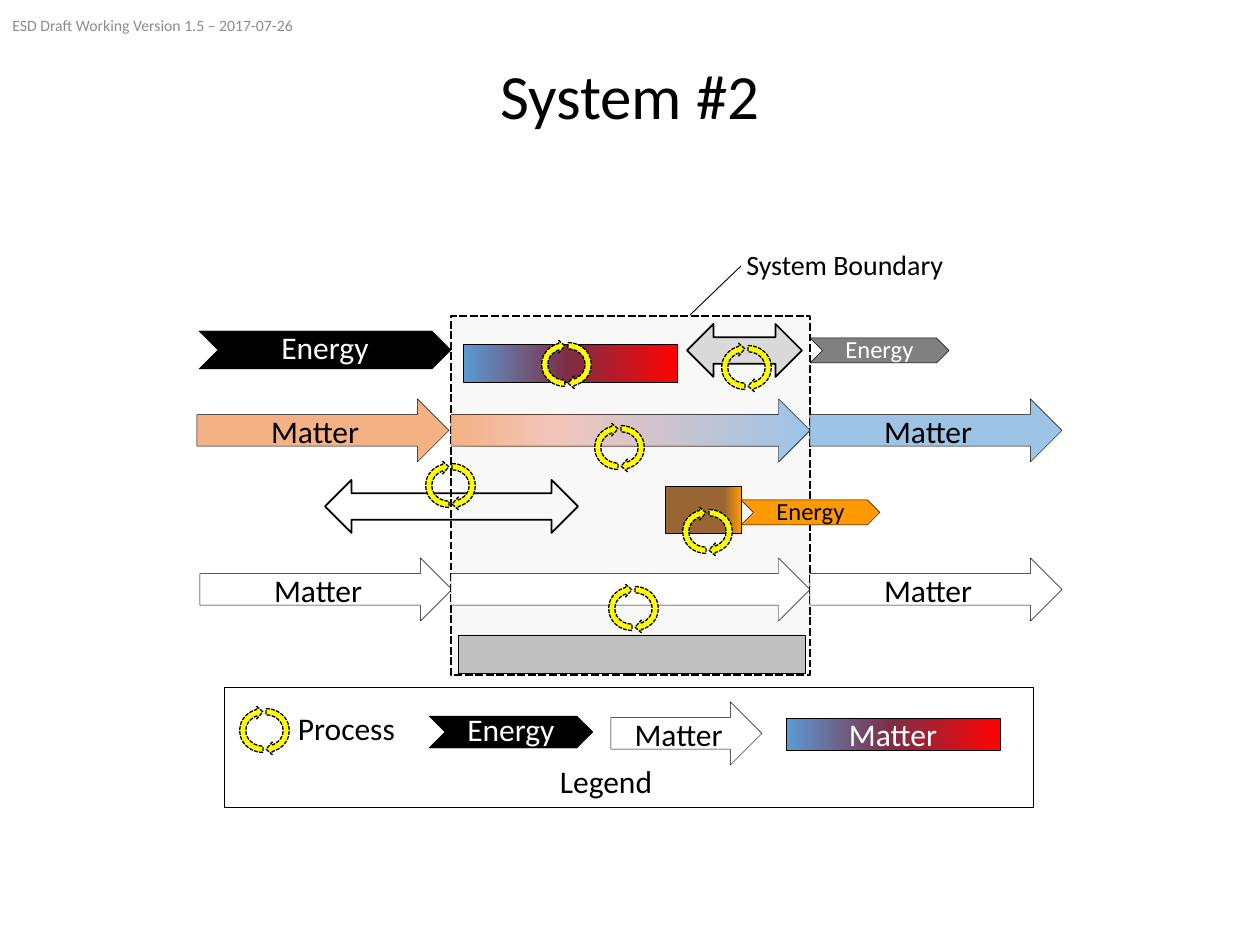
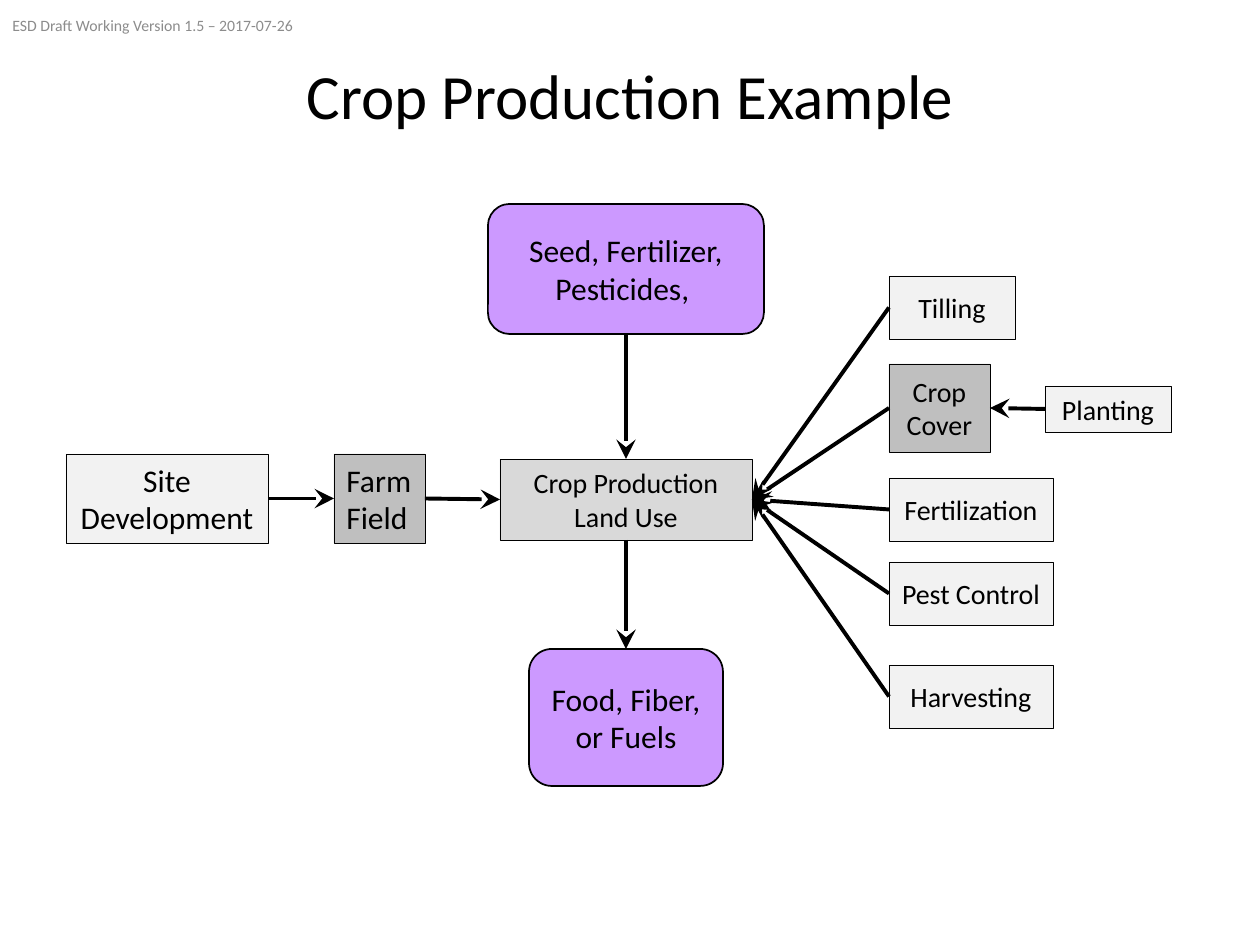
from dataclasses import dataclass
from typing import NamedTuple

from lxml.etree import SubElement
from pptx import Presentation
from pptx.dml.color import RGBColor
from pptx.enum.dml import MSO_LINE
from pptx.enum.shapes import MSO_CONNECTOR, MSO_SHAPE
from pptx.enum.text import MSO_ANCHOR, PP_ALIGN
from pptx.oxml.ns import qn
from pptx.util import Emu, Pt

PX_PER_INCH = 126
TOP, LEFT, BOTTOM, RIGHT = range(4)  # connection sites of a box


@dataclass(frozen=True)
class Theme:
    font: str = "Calibri"
    black: str = "000000"
    white: str = "FFFFFF"
    header_grey: str = "8C8C8C"
    pale: str = "F2F2F2"
    light: str = "D9D9D9"
    mid: str = "BFBFBF"
    dark: str = "808080"
    yellow: str = "FFFF00"
    peach: str = "F4B183"
    sky: str = "9DC3E6"
    orange: str = "FF9900"
    purple: str = "CC99FF"
    cooling: tuple = ((0, "F4B183"), (29, "F2C5BB"), (100, "9DC3E6"))
    heating: tuple = ((0, "5B9BD5"), (49, "7D2D46"), (100, "FF0303"))
    releasing: tuple = ((0, "996633"), (78, "996633"), (100, "FF9900"))
    title: int = 36
    large: int = 18
    medium: int = 16
    small: int = 14
    tiny: int = 9
    hairline: float = 0.25
    outline: float = 1
    arrow: float = 2.25


THEME = Theme()


class Box(NamedTuple):
    left: int
    top: int
    width: int
    height: int

    def inner(self, left, top, width, height):
        return Box(self.left + left, self.top + top, width, height)


def emu(px):
    return Emu(round(px * 914400 / PX_PER_INCH))


def rgb(colour):
    return RGBColor.from_string(colour)


# Basic parts

def write(holder, text, size, colour=THEME.black, align=PP_ALIGN.CENTER,
          anchor=MSO_ANCHOR.MIDDLE, wraps=True, spacing=None, tight=False):
    frame = holder.text_frame
    frame.text = text
    frame.word_wrap = wraps
    frame.vertical_anchor = anchor
    if tight:
        frame.margin_left = frame.margin_right = 0
        frame.margin_top = frame.margin_bottom = 0
    for paragraph in frame.paragraphs:
        paragraph.alignment = align
        paragraph.line_spacing = spacing
        for run in paragraph.runs:
            run.font.name = THEME.font
            run.font.size = Pt(size)
            run.font.color.rgb = rgb(colour)


def add_label(slide, box, text, size, **style):
    label = slide.shapes.add_textbox(*map(emu, box))
    write(label, text, size, **style)


def fill_gradient(shape, stops):
    shape.fill.gradient()
    shape.fill.gradient_angle = 0
    stop_list = next(shape.element.iter(qn("a:gsLst")))
    stop_list.clear()
    for percent, colour in stops:
        stop = SubElement(stop_list, qn("a:gs"), pos=str(percent * 1000))
        SubElement(stop, qn("a:srgbClr"), val=colour)


def add_figure(slide, kind, box, fill=None, weight=THEME.hairline):
    """Fill is a colour, a tuple of gradient stops, or None for no fill."""
    figure = slide.shapes.add_shape(kind, *map(emu, box))
    figure.shadow.inherit = False
    if fill is None:
        figure.fill.background()
    elif isinstance(fill, tuple):
        fill_gradient(figure, fill)
    else:
        figure.fill.solid()
        figure.fill.fore_color.rgb = rgb(fill)
    figure.line.color.rgb = rgb(THEME.black)
    figure.line.width = Pt(weight)
    return figure


def add_line(slide, start, end, weight):
    line = slide.shapes.add_connector(
        MSO_CONNECTOR.STRAIGHT, *map(emu, (*start, *end)))
    line.line.color.rgb = rgb(THEME.black)
    line.line.width = Pt(weight)
    SubElement(line.element.spPr, qn("a:effectLst"))
    return line


# Parts of the system diagram

def add_energy(slide, box, fill, colour, size=THEME.large):
    energy = add_figure(slide, MSO_SHAPE.CHEVRON, box, fill)
    small = size == THEME.small
    write(energy, "Energy", size, colour, wraps=not small, tight=small,
          spacing=Pt(15 if small else 18))


def add_matter(slide, box, fill):
    matter = add_figure(slide, MSO_SHAPE.RIGHT_ARROW, box, fill)
    write(matter, "Matter", THEME.large)


def add_process(slide, area, left, top):
    for shift, rotation in ((0, 270), (3, 90)):
        half = add_figure(slide, MSO_SHAPE.CIRCULAR_ARROW,
                          area.inner(left + shift, top, 50, 53),
                          THEME.yellow, 0.75)
        half.rotation = rotation
        half.line.dash_style = MSO_LINE.SQUARE_DOT


def draw_system(slide, area):
    # Boundary and its label
    boundary = add_figure(slide, MSO_SHAPE.RECTANGLE,
                          area.inner(254, 76, 359, 359), THEME.pale, 1.5)
    boundary.line.dash_style = MSO_LINE.SQUARE_DOT
    boundary_colour = next(boundary.element.spPr.iter(qn("a:srgbClr")))
    SubElement(boundary_colour, qn("a:alpha"), val="50000")
    add_label(slide, area.inner(537, 1, 226, 46), "System Boundary",
              THEME.medium, align=PP_ALIGN.LEFT, anchor=MSO_ANCHOR.TOP,
              wraps=False)
    pointer = area.inner(544, 26, 0, 0), area.inner(493, 75, 0, 0)
    add_line(slide, pointer[0][:2], pointer[1][:2], 0.5)

    # Matter flows: in, through, out
    for start, top, entering, passing, leaving in (
            (0, 159, THEME.peach, THEME.cooling, THEME.sky),
            (3, 318, None, THEME.white, THEME.white)):
        add_matter(slide, area.inner(start, top, 252, 63), entering)
        add_figure(slide, MSO_SHAPE.RIGHT_ARROW,
                   area.inner(254, top, 359, 63), passing)
        add_matter(slide, area.inner(613, top, 252, 63), leaving)

    # Stored matter
    for place, fill in (((266, 104, 214, 38), THEME.heating),
                        ((468, 246, 76, 47), THEME.releasing),
                        ((261, 395, 347, 38), THEME.mid)):
        add_figure(slide, MSO_SHAPE.RECTANGLE, area.inner(*place), fill)

    # Two-way exchanges
    for place, fill in (((128, 240, 253, 53), None),
                        ((490, 84, 115, 53), THEME.light)):
        add_figure(slide, MSO_SHAPE.LEFT_RIGHT_ARROW, area.inner(*place),
                   fill, THEME.outline)

    # Processes
    for left, top in ((343, 98), (523, 101), (396, 181),
                      (227, 219), (484, 265), (410, 342)):
        add_process(slide, area, left, top)

    # Energy flows
    add_energy(slide, area.inner(2, 91, 252, 38), THEME.black, THEME.white)
    add_energy(slide, area.inner(613, 98, 139, 25), THEME.dark, THEME.white,
               THEME.small)
    add_energy(slide, area.inner(544, 260, 139, 25), THEME.orange,
               THEME.black, THEME.small)


def draw_legend(slide, area):
    add_figure(slide, MSO_SHAPE.RECTANGLE, area)
    add_process(slide, area, 14, 17)
    for text, place in (("Process", (61, 16, 123, 50)),
                        ("Legend", (323, 69, 118, 50))):
        add_label(slide, area.inner(*place), text, THEME.large,
                  anchor=MSO_ANCHOR.TOP, wraps=False)
    add_energy(slide, area.inner(205, 29, 164, 32), THEME.black, THEME.white)
    add_matter(slide, area.inner(387, 15, 151, 63), THEME.white)
    stored = add_figure(slide, MSO_SHAPE.RECTANGLE,
                        area.inner(562, 31, 214, 32), THEME.heating)
    write(stored, "Matter", THEME.large, THEME.white)


# Parts of the crop flow

def add_step(slide, box, text, fill=THEME.pale, size=THEME.medium,
             wraps=False, align=PP_ALIGN.CENTER):
    step = add_figure(slide, MSO_SHAPE.RECTANGLE, box, fill)
    write(step, text, size, wraps=wraps, align=align)
    return step


def add_goods(slide, box, text):
    goods = add_figure(slide, MSO_SHAPE.ROUNDED_RECTANGLE, box,
                       THEME.purple, THEME.outline)
    write(goods, text, THEME.large)
    return goods


def connect(slide, source, source_site, target, target_site):
    arrow = add_line(slide, (0, 0), (0, 0), THEME.arrow)
    arrow.begin_connect(source, source_site)
    arrow.end_connect(target, target_site)
    SubElement(arrow.element.spPr.find(qn("a:ln")), qn("a:tailEnd"),
               type="stealth", w="lg", len="lg")


def draw_crop_flow(slide, area):
    # Land preparation, left to right
    land_use = add_step(slide, area.inner(434, 255, 252, 81),
                        "Crop Production\nLand Use", THEME.light)
    site = add_step(slide, area.inner(0, 250, 202, 89), "Site\nDevelopment",
                    size=THEME.large)
    field = add_step(slide, area.inner(268, 250, 91, 89), "Farm\nField",
                     THEME.mid, THEME.large, align=PP_ALIGN.LEFT)
    connect(slide, site, RIGHT, field, LEFT)
    connect(slide, field, RIGHT, land_use, LEFT)

    # Inputs above, products below
    inputs = add_goods(slide, area.inner(422, 0, 276, 130),
                       "Seed, Fertilizer, Pesticides, ")
    products = add_goods(slide, area.inner(463, 445, 194, 137),
                         "Food, Fiber, or Fuels")
    connect(slide, inputs, BOTTOM, land_use, TOP)
    connect(slide, land_use, BOTTOM, products, TOP)

    # Field activities
    for text, top, width in (("Tilling", 72, 126),
                             ("Fertilization", 274, 164),
                             ("Pest Control", 358, 164),
                             ("Harvesting", 461, 164)):
        activity = add_step(slide, area.inner(823, top, width, 63), text)
        connect(slide, activity, LEFT, land_use, RIGHT)

    # Planting makes the crop cover
    cover = add_step(slide, area.inner(823, 160, 101, 88), "Crop Cover",
                     THEME.mid, wraps=True)
    planting = add_step(slide, area.inner(979, 182, 126, 46), "Planting")
    connect(slide, cover, LEFT, land_use, RIGHT)
    connect(slide, planting, LEFT, cover, RIGHT)


# Slides

def add_slide(deck, title):
    slide = deck.slides.add_slide(deck.slide_layouts[6])
    add_label(slide, Box(87, 50, 1086, 98), title, THEME.title, spacing=0.9)
    add_label(slide, Box(0, 0, 426, 50),
              "ESD Draft Working Version 1.5 – 2017-07-26", THEME.tiny,
              colour=THEME.header_grey, align=PP_ALIGN.LEFT)
    return slide


def main():
    deck = Presentation()
    deck.slide_width, deck.slide_height = emu(1260), emu(945)

    system = add_slide(deck, "System #2")
    draw_system(system, Box(197, 240, 865, 435))
    draw_legend(system, Box(224, 687, 809, 120))

    crops = add_slide(deck, "Crop Production Example")
    draw_crop_flow(crops, Box(66, 204, 1106, 582))

    deck.save("out.pptx")


if __name__ == "__main__":
    main()
